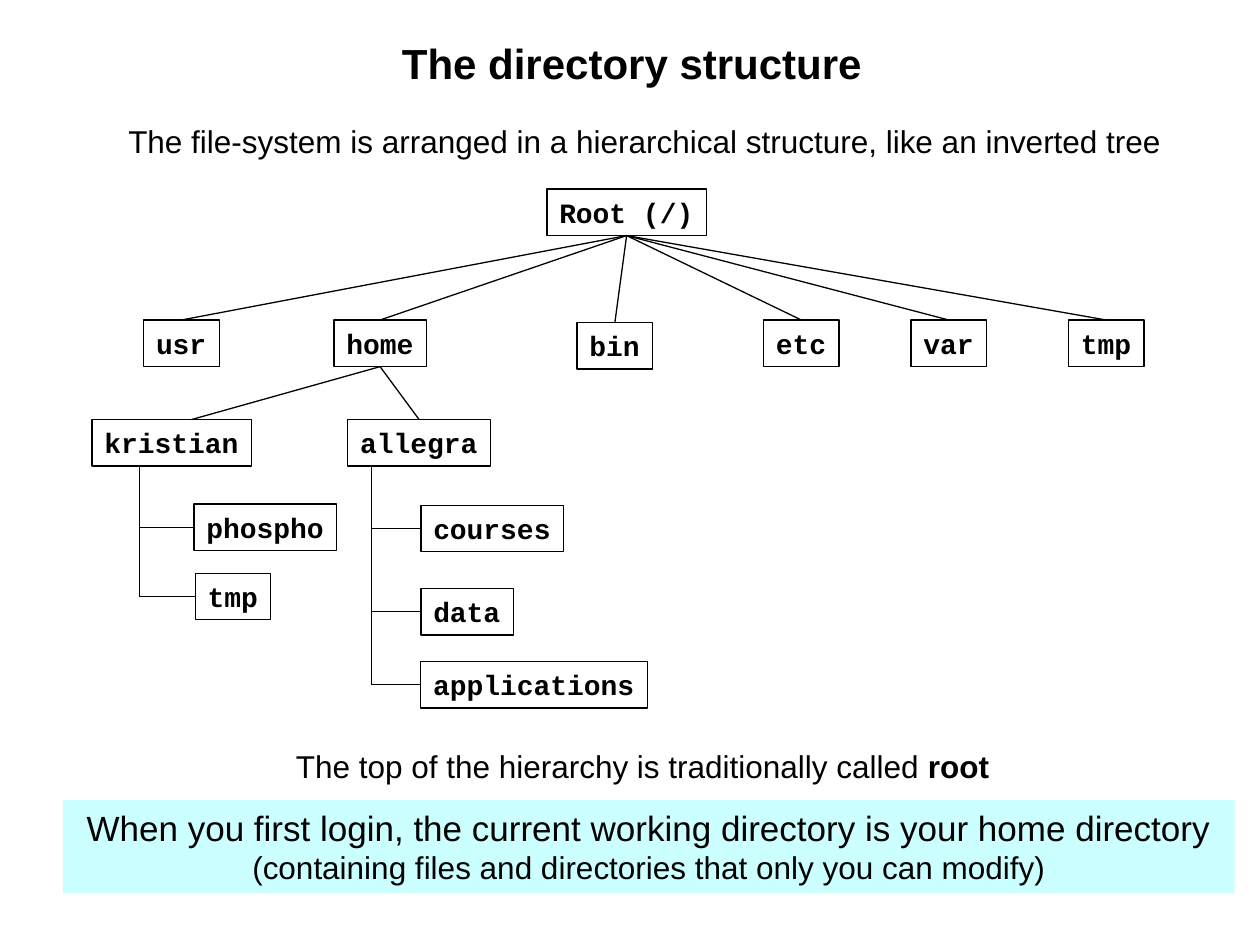
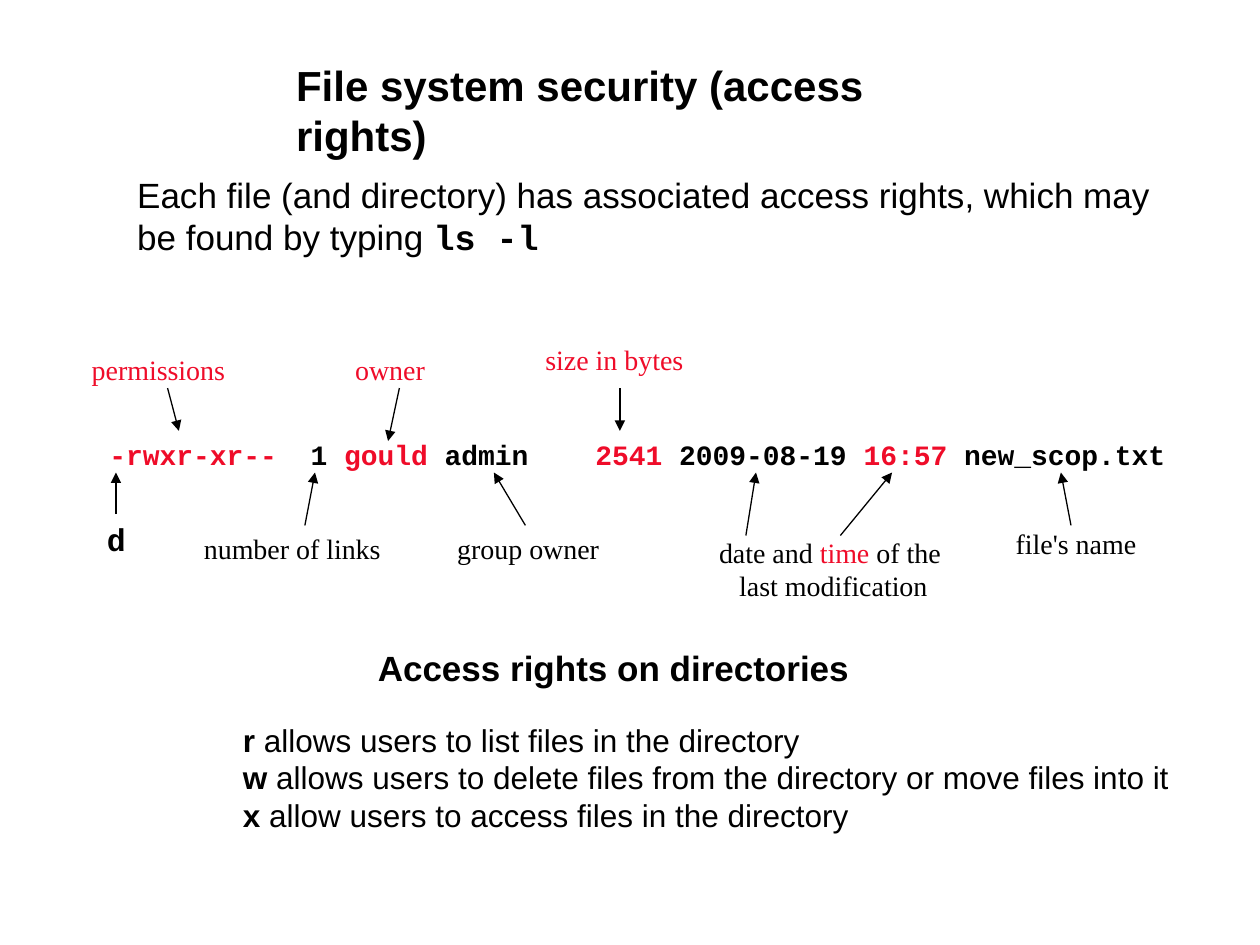
"""Build two slides on the directory tree and on file access rights."""
from dataclasses import dataclass
from typing import Any, Optional

from lxml import etree
from pptx import Presentation
from pptx import util as u
from pptx.dml import color as dml
from pptx.enum import shapes, text
from pptx.oxml import ns


@dataclass(frozen=True)
class Theme:
    """Colours, fonts and type sizes shared by the slides."""
    ink: str = "000000"
    accent: str = "EF0C29"
    band: str = "CCFFFF"
    sans: str = "Arial"
    mono: str = "Courier New"
    serif: str = "Times New Roman"
    title: int = 24
    lead: int = 20
    body: int = 18
    label: int = 16
    rule: float = 0.75


T = Theme()
TITLE_ONLY = 5
NODE_HEIGHT = 0.37
Point = tuple[float, float]


@dataclass(frozen=True)
class Run:
    """A piece of text with what differs from its box's format."""
    text: str
    size: Optional[int] = None
    font: Optional[str] = None
    color: Optional[str] = None
    bold: Optional[bool] = None


Para = str | list[Run]


@dataclass(frozen=True)
class Node:
    """A directory; trunk is the x of a vertical line that its children hang on."""
    name: str
    left: float
    top: float
    children: tuple["Node", ...] = ()
    trunk: Optional[float] = None
    entry: Optional[float] = None

    @property
    def width(self) -> float:
        """Width that fits the name in the fixed-pitch font."""
        return 0.2 + len(self.name) * 0.6 * T.label / 72

    @property
    def middle(self) -> float:
        """Height of the centre of the box."""
        return self.top + NODE_HEIGHT / 2


@dataclass(frozen=True)
class Label:
    """A caption on the file listing with its arrows."""
    paras: list[Para]
    at: tuple[float, float, float, float]
    arrows: tuple[tuple[Point, Point], ...]
    color: str = T.ink
    align: Any = text.PP_ALIGN.LEFT


def write(tf: Any, paras: list[Para], *, size: int = T.body, font: str = T.sans,
          color: str = T.ink, bold: bool = False, align: Any = text.PP_ALIGN.LEFT,
          wrap: bool = False, indent: float = 0) -> None:
    """Fill a text frame with formatted paragraphs."""
    tf.word_wrap = wrap
    tf.auto_size = text.MSO_AUTO_SIZE.NONE
    tf.vertical_anchor = text.MSO_ANCHOR.TOP
    for i, para in enumerate(paras):
        p = tf.paragraphs[0] if i == 0 else tf.add_paragraph()
        p.alignment = align
        if indent:
            p._p.get_or_add_pPr().set("marL", str(u.Inches(indent)))
        for part in [Run(para)] if isinstance(para, str) else para:
            r = p.add_run()
            r.text = part.text
            r.font.size = u.Pt(part.size or size)
            r.font.name = part.font or font
            r.font.bold = bold if part.bold is None else part.bold
            r.font.color.rgb = dml.RGBColor.from_string(part.color or color)


def add_text(s: Any, at: tuple[float, ...], paras: list[Para], **fmt: Any) -> None:
    """Add a text box."""
    write(s.shapes.add_textbox(*map(u.Inches, at)).text_frame, paras, **fmt)


def add_rect(s: Any, at: tuple[float, ...], paras: list[Para], *,
             fill: Optional[str] = None, **fmt: Any) -> Any:
    """Add a rectangle that is either filled or outlined."""
    sp = s.shapes.add_shape(shapes.MSO_SHAPE.RECTANGLE, *map(u.Inches, at))
    sp.shadow.inherit = False
    if fill:
        sp.fill.solid()
        sp.fill.fore_color.rgb = dml.RGBColor.from_string(fill)
        sp.line.fill.background()
    else:
        sp.fill.background()
        sp.line.color.rgb = dml.RGBColor.from_string(T.ink)
        sp.line.width = u.Pt(T.rule)
    write(sp.text_frame, paras, **fmt)
    return sp


def add_line(s: Any, start: Point, end: Point, arrow: bool = False) -> Any:
    """Add a thin straight line, with an arrowhead at its end on request."""
    c = s.shapes.add_connector(shapes.MSO_CONNECTOR.STRAIGHT,
                               *map(u.Inches, (*start, *end)))
    c.line.color.rgb = dml.RGBColor.from_string(T.ink)
    c.line.width = u.Pt(T.rule)
    spPr = c._element.spPr
    if arrow:
        etree.SubElement(spPr.find(ns.qn("a:ln")), ns.qn("a:tailEnd"), type="triangle")
    etree.SubElement(spPr, ns.qn("a:effectLst"))
    return c


def add_slide(prs: Any, title: str, at: tuple[float, ...]) -> Any:
    """Add a title-only slide with its title placed and formatted."""
    s = prs.slides.add_slide(prs.slide_layouts[TITLE_ONLY])
    sp = s.shapes.title
    sp.left, sp.top, sp.width, sp.height = map(u.Inches, at)
    write(sp.text_frame, [title], size=T.title, bold=True)
    return s


def draw_tree(s: Any, node: Node) -> Any:
    """Draw a directory, all below it and the lines between; return its box."""
    box = add_rect(s, (node.left, node.top, node.width, NODE_HEIGHT), [node.name],
                   size=T.label, font=T.mono, bold=True)
    bottom = node.top + NODE_HEIGHT
    if node.trunk is not None:
        add_line(s, (node.trunk, bottom), (node.trunk, node.children[-1].middle))
    for child in node.children:
        child_box = draw_tree(s, child)
        if node.trunk is not None:
            c = add_line(s, (node.trunk, child.middle), (child.left, child.middle))
            c.end_connect(child_box, 1)
            continue
        arrival = child.entry or child.left + child.width / 2
        c = add_line(s, (node.left + node.width / 2, bottom), (arrival, child.top))
        c.begin_connect(box, 2)
        if child.entry is None:
            c.end_connect(child_box, 0)
    return box


TREE = Node("Root (/)", 4.34, 1.5, (
    Node("usr", 1.14, 2.54),
    Node("home", 2.65, 2.54, (
        Node("kristian", 0.73, 3.33, (
            Node("phospho", 1.54, 4),
            Node("tmp", 1.55, 4.55),
        ), trunk=1.11, entry=1.52),
        Node("allegra", 2.76, 3.33, (
            Node("courses", 3.34, 4.01),
            Node("data", 3.34, 4.67),
            Node("applications", 3.34, 5.25),
        ), trunk=2.95),
    )),
    Node("bin", 4.58, 2.56),
    Node("etc", 6.06, 2.54),
    Node("var", 7.23, 2.54),
    Node("tmp", 8.48, 2.54),
))

LABELS = [
    Label(["permissions"], (0.63, 2.75, 1.46, 0.37),
          (((1.33, 3.08), (1.42, 3.42)),), T.accent),
    Label(["owner"], (2.72, 2.75, 0.86, 0.37),
          (((3.17, 3.08), (3.08, 3.5)),), T.accent),
    Label(["size in bytes"], (4.23, 2.67, 1.46, 0.37),
          (((4.92, 3.08), (4.92, 3.42)),), T.accent),
    Label([[Run("d", T.body, T.mono, bold=True)]], (0.75, 4.08, 0.34, 0.4),
          (((0.92, 4.08), (0.92, 3.75)),)),
    Label(["number of links"], (1.52, 4.17, 1.83, 0.37),
          (((2.42, 4.17), (2.5, 3.75)),)),
    Label(["group owner"], (3.53, 4.17, 1.55, 0.37),
          (((4.17, 4.17), (3.92, 3.75)),)),
    Label([[Run("date and "), Run("time", color=T.accent), Run(" of the ")],
           "last modification"], (5.43, 4.2, 2.37, 0.64),
          (((5.92, 4.25), (6, 3.75)), ((6.67, 4.25), (7.08, 3.75))),
          align=text.PP_ALIGN.CENTER),
    Label(["file's name"], (7.88, 4.13, 1.32, 0.37),
          (((8.5, 4.17), (8.42, 3.75)),), align=text.PP_ALIGN.CENTER),
]

LISTING = [Run("-rwxr-xr--", color=T.accent), Run("  1 "),
           Run("gould", color=T.accent), Run(" admin    "),
           Run("2541", color=T.accent), Run(" 2009-08-19 "),
           Run("16:57", color=T.accent), Run(" new_scop.txt")]

RIGHTS = {
    "r": " allows users to list files in the directory",
    "w": " allows users to delete files from the directory or move files into it",
    "x": " allow users to access files in the directory",
}


def build_directory_slide(prs: Any) -> None:
    """Build the slide with the directory tree."""
    s = add_slide(prs, "The directory structure", (3.09, 0.25, 3.85, 0.5))
    add_text(s, (0.92, 0.92, 8.46, 0.4),
             ["The file-system is arranged in a hierarchical structure, "
              "like an inverted tree"])
    draw_tree(s, TREE)
    add_text(s, (2.25, 5.88, 5.7, 0.4),
             [[Run("The top of the hierarchy is traditionally called "),
               Run("root", bold=True)]])
    add_rect(s, (0.5, 6.35, 9.3, 0.74),
             [[Run("When you first login, the current working directory "
                   "is your home directory ", T.lead),
               Run("(containing files and directories that only you can modify)")]],
             fill=T.band, align=text.PP_ALIGN.CENTER, wrap=True)


def build_security_slide(prs: Any) -> None:
    """Build the slide with the annotated file listing."""
    s = add_slide(prs, "File system security (access rights)", (2.25, 0.42, 5.83, 0.5))
    add_text(s, (0.99, 1.33, 8.32, 0.77),
             ["Each file (and directory) has associated access rights, which may",
              [Run("be found by typing "), Run("ls -l", font=T.mono, bold=True)]],
             size=T.lead)
    add_text(s, (0.77, 3.42, 8.58, 0.37), [LISTING],
             size=T.label, font=T.mono, bold=True)
    for label in LABELS:
        add_text(s, label.at, label.paras, size=T.label, font=T.serif,
                 color=label.color, align=label.align, wrap=True)
        for start, end in label.arrows:
            add_line(s, start, end, arrow=True)
    add_text(s, (2.9, 5.08, 3.94, 0.44), ["Access rights on directories"],
             size=T.lead, bold=True)
    add_text(s, (0.83, 5.67, 8.55, 1),
             [[Run(letter, bold=True), Run(meaning)]
              for letter, meaning in RIGHTS.items()], indent=1)


def main() -> None:
    """Build and save the presentation."""
    prs = Presentation()
    prs.slide_width, prs.slide_height = u.Inches(10), u.Inches(7.5)
    build_directory_slide(prs)
    build_security_slide(prs)
    prs.save("out.pptx")


if __name__ == "__main__":
    main()
